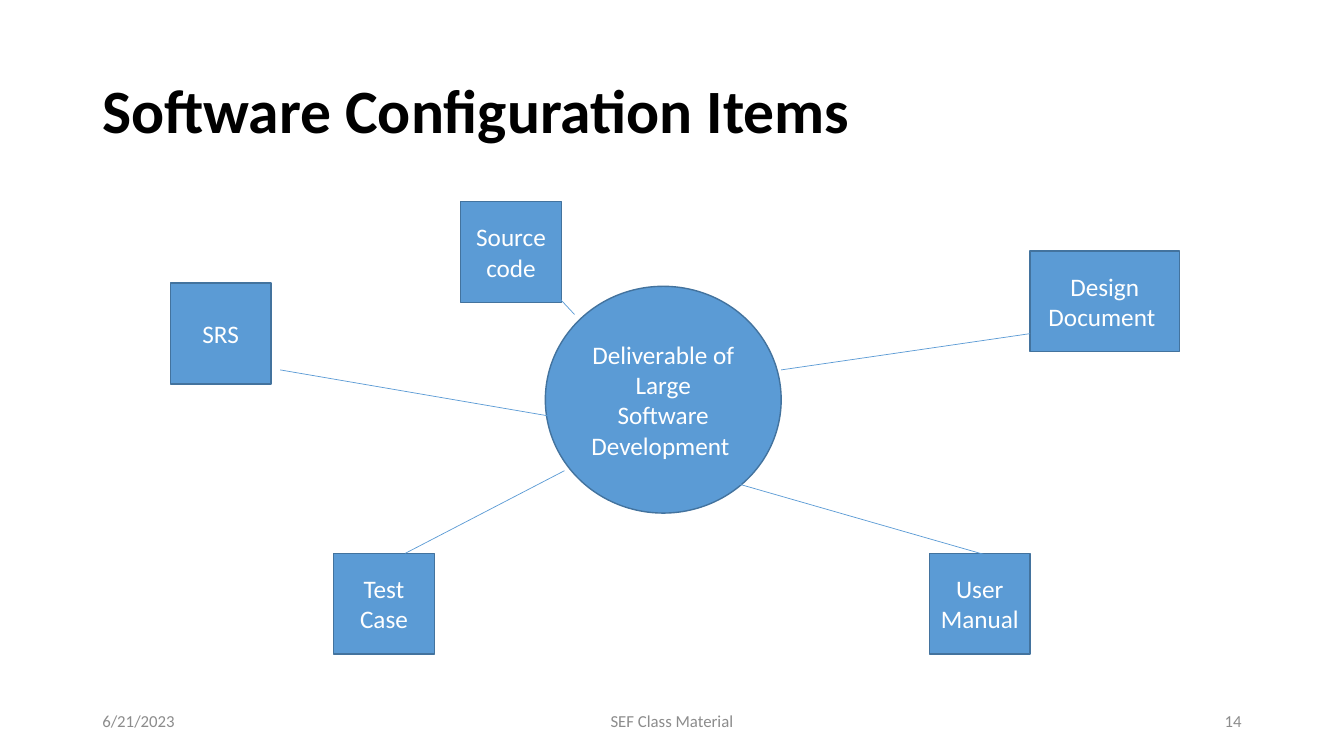
"""Build a slide of software configuration items around a central deliverable."""
from lxml import etree
from pptx import Presentation
from pptx.dml.color import RGBColor
from pptx.enum.shapes import MSO_CONNECTOR, MSO_SHAPE
from pptx.enum.text import MSO_ANCHOR, PP_ALIGN
from pptx.oxml.ns import qn
from pptx.util import Inches, Pt

RECTANGLE, OVAL = MSO_SHAPE.RECTANGLE, MSO_SHAPE.OVAL
STRAIGHT = MSO_CONNECTOR.STRAIGHT
LEFT, CENTER, RIGHT = PP_ALIGN.LEFT, PP_ALIGN.CENTER, PP_ALIGN.RIGHT
MIDDLE = MSO_ANCHOR.MIDDLE

COLUMNS, ROWS = 80, 45
BLUE, OUTLINE, WHITE, BLACK, GRAY = "5B9BD5", "43739E", "FFFFFF", "000000", "8C8C8C"

deck = Presentation()
deck.slide_width, deck.slide_height = Inches(13.333), Inches(7.5)
page = deck.slides.add_slide(deck.slide_layouts[6])


def grid(*lengths):
    """Turn alternating columns and rows into slide lengths."""
    steps = (deck.slide_width / COLUMNS, deck.slide_height / ROWS)
    return [round(length * steps[index % 2]) for index, length in enumerate(lengths)]


def write(box, lines, color, size, align, bold=False, spacing=1.0):
    """Fill a box with paragraphs of one format."""
    frame = box.text_frame
    frame.word_wrap = True
    frame.vertical_anchor = MIDDLE
    for index, line in enumerate(lines):
        para = frame.paragraphs[0] if index == 0 else frame.add_paragraph()
        para.alignment, para.line_spacing = align, spacing
        span = para.add_run()
        span.text = line
        span.font.color.rgb = RGBColor.from_string(color)
        for name, value in {"name": "Calibri", "size": Pt(size), "bold": bold}.items():
            setattr(span.font, name, value)


title = page.shapes.add_textbox(*grid(5.5, 2.4, 69, 8.7))
write(title, ["Software Configuration Items"], BLACK, 44, LEFT, bold=True, spacing=0.9)

nodes = [
    (OVAL, (32.46, 17.04, 14.04, 13.5), ["Deliverable of ", "Large Software Development "]),
    (RECTANGLE, (10.14, 16.86, 6, 6), ["SRS"]),
    (RECTANGLE, (19.86, 32.94, 6, 6), ["Test Case"]),
    (RECTANGLE, (27.42, 12, 6, 6), ["Source code"]),
    (RECTANGLE, (61.32, 14.94, 8.88, 6), ["Design Document "]),
    (RECTANGLE, (55.32, 32.94, 6, 6), ["User Manual "]),
]
for outline, place, lines in nodes:
    node = page.shapes.add_shape(outline, *grid(*place))
    node.shadow.inherit = False
    node.fill.solid()
    node.fill.fore_color.rgb = RGBColor.from_string(BLUE)
    node.line.color.rgb = RGBColor.from_string(OUTLINE)
    node.line.width = Pt(1)
    write(node, lines, WHITE, 18, CENTER)

links = [
    (40.8, 27.9, 60.66, 33.6),
    (16.68, 22.02, 39.42, 25.92),
    (34.2, 18.72, 32.46, 16.86),
    (24.12, 32.94, 33.6, 28.02),
    (46.5, 22.02, 61.32, 19.86),
]
for ends in links:
    link = page.shapes.add_connector(STRAIGHT, *grid(*ends))
    link.line.color.rgb = RGBColor.from_string(BLUE)
    link.line.width = Pt(0.5)
    etree.SubElement(link._element.spPr, qn("a:effectLst"))

footers = [
    ("6/21/2023", 5.5, 18, LEFT),
    ("SEF Class Material", 26.5, 27, CENTER),
    ("14", 56.5, 18, RIGHT),
]
for words, column, width, align in footers:
    footer = page.shapes.add_textbox(*grid(column, 41.7, width, 2.4))
    write(footer, [words], GRAY, 12, align)

deck.save("out.pptx")
